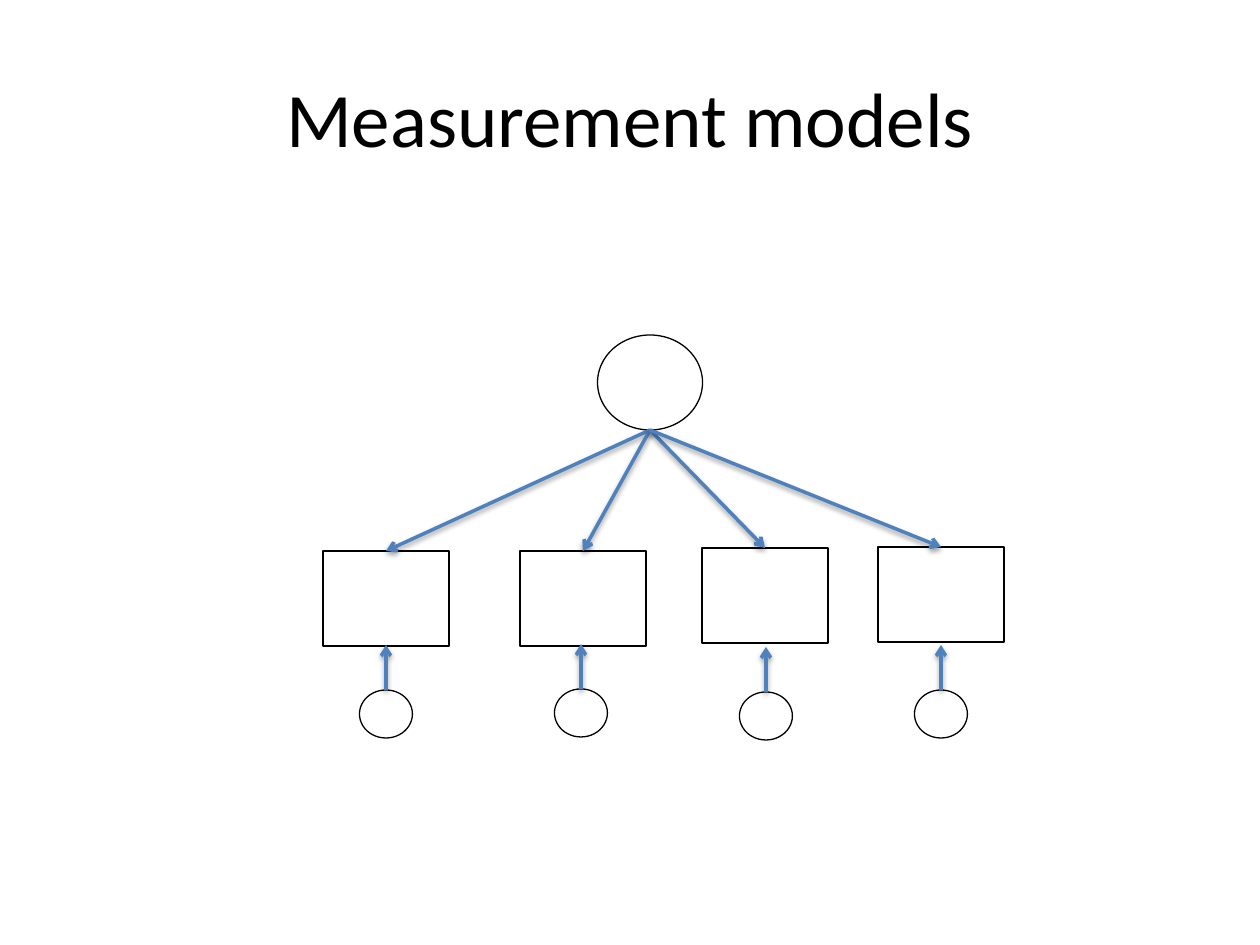
from lxml.etree import SubElement
from pptx import Presentation
from pptx.dml.color import RGBColor as Rgb
from pptx.enum.shapes import MSO_CONNECTOR as Link, MSO_SHAPE as Kind
from pptx.enum.text import MSO_ANCHOR as Anchor, PP_ALIGN as Align
from pptx.oxml.ns import qn
from pptx.util import Emu, Pt

SCALE = 914400 / 126
HEX = {"ink": "000000", "arrow": "4F81BD"}

# Per column: box centre and top, error circle centre and top
COLS = [(386, 551, 386, 690), (583, 551, 581, 689),
        (765, 548, 766, 692), (941, 547, 941, 690)]
BOX = (126, 95)
DOT = (53, 48)
FACTOR = (105, 95)
TOP = (650, 335)
GAP = 45


def px(n):
    return Emu(round(n * SCALE))


def color(name):
    return Rgb.from_string(HEX[name])


def add_text(slide, text, x, y, w, h, size=18, font="Calibri", ink="ink",
             align=Align.LEFT, anchor=Anchor.TOP):
    frame = slide.shapes.add_textbox(px(x), px(y), px(w), px(h)).text_frame
    frame.word_wrap = True
    frame.vertical_anchor = anchor
    para = frame.paragraphs[0]
    para.text = text
    para.alignment = align
    para.font.size = Pt(size)
    para.font.name = font
    para.font.color.rgb = color(ink)


def add_node(slide, kind, mid, top, size):
    """Add an unfilled outline centred on mid."""
    w, h = size
    node = slide.shapes.add_shape(kind, px(mid - w / 2), px(top), px(w), px(h))
    node.shadow.inherit = False
    node.fill.background()
    node.line.color.rgb = color("ink")
    node.line.width = Pt(0.75)


def add_arrow(slide, start, end):
    ends = [px(n) for n in (*start, *end)]
    arrow = slide.shapes.add_connector(Link.STRAIGHT, *ends)
    arrow.line.color.rgb = color("arrow")
    arrow.line.width = Pt(2)
    SubElement(arrow.line._get_or_add_ln(), qn("a:tailEnd"), type="arrow")
    add_shadow(arrow)


def add_shadow(arrow):
    effects = SubElement(arrow._element.spPr, qn("a:effectLst"))
    shade = SubElement(effects, qn("a:outerShdw"), blurRad="40000",
                       dist="20000", dir="5400000", rotWithShape="0")
    tint = SubElement(shade, qn("a:srgbClr"), val=HEX["ink"])
    SubElement(tint, qn("a:alpha"), val="38000")


def main():
    deck = Presentation()
    deck.slide_width, deck.slide_height = px(1260), px(945)
    slide = deck.slides.add_slide(deck.slide_layouts[6])

    add_text(slide, "Measurement models", 63, 38, 1134, 158, size=44,
             align=Align.CENTER, anchor=Anchor.MIDDLE)
    mid, top = TOP
    add_node(slide, Kind.OVAL, mid, top, FACTOR)
    for box, box_top, dot, dot_top in COLS:
        add_node(slide, Kind.RECTANGLE, box, box_top, BOX)
        add_node(slide, Kind.OVAL, dot, dot_top, DOT)
        add_arrow(slide, (mid, top + FACTOR[1]), (box, box_top))
        add_arrow(slide, (dot, dot_top), (dot, dot_top - GAP))

    deck.save("out.pptx")


if __name__ == "__main__":
    main()
